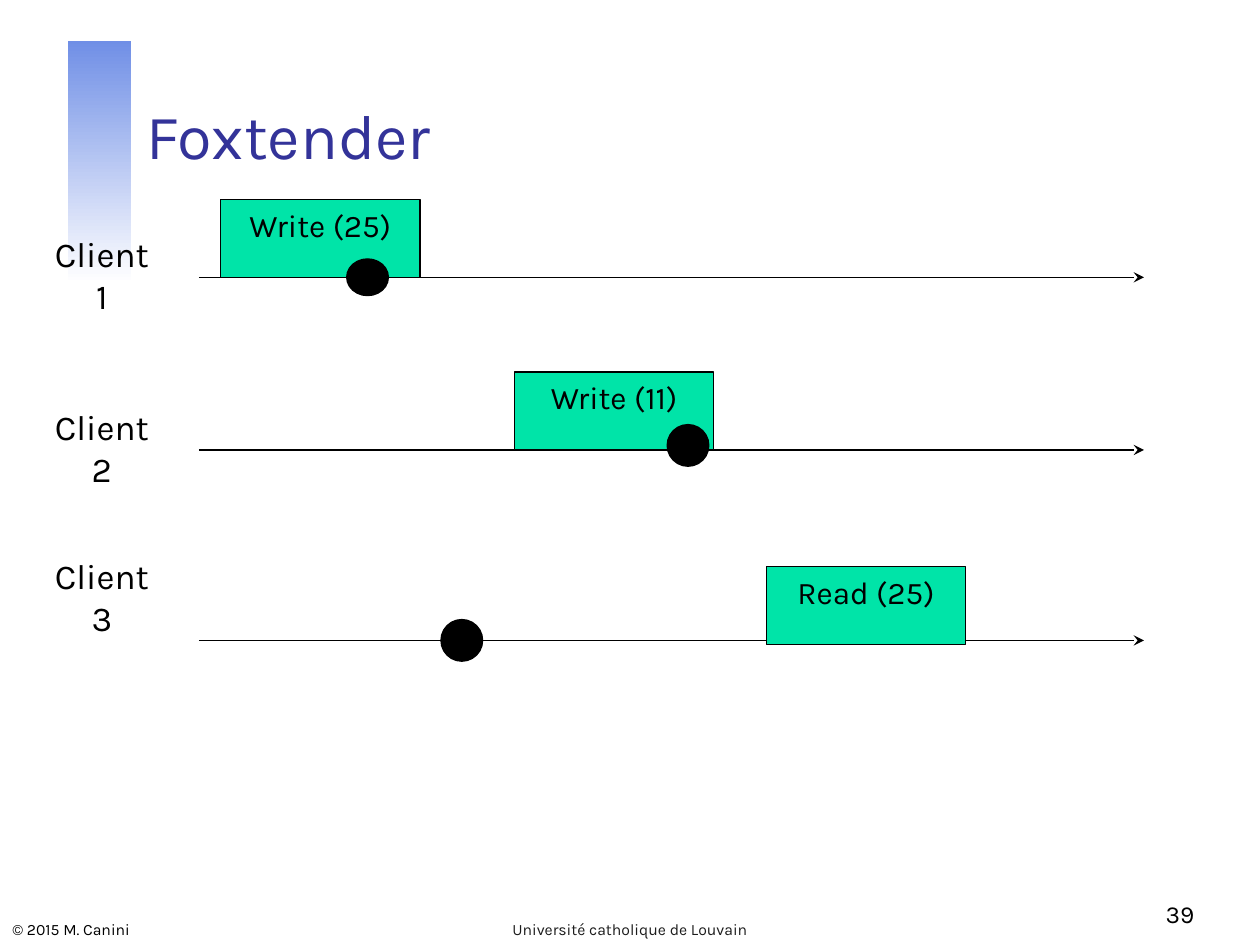
from collections import namedtuple
from dataclasses import dataclass

from lxml import etree
from pptx import Presentation
from pptx.dml.color import RGBColor
from pptx.enum.shapes import MSO_CONNECTOR, MSO_SHAPE
from pptx.enum.text import MSO_ANCHOR, PP_ALIGN
from pptx.oxml.ns import qn
from pptx.util import Cm, Pt

RECTANGLE, OVAL = MSO_SHAPE.RECTANGLE, MSO_SHAPE.OVAL
STRAIGHT = MSO_CONNECTOR.STRAIGHT
TOP, BOTTOM = MSO_ANCHOR.TOP, MSO_ANCHOR.BOTTOM
LEFT, CENTER, RIGHT = PP_ALIGN.LEFT, PP_ALIGN.CENTER, PP_ALIGN.RIGHT

Box = namedtuple("Box", "left top width height")
# Positions in a lane are in cm from the left end of its time axis.
Lane = namedtuple("Lane", "client axis_y label_top operation start rise dot_x dot_y dot_height")


@dataclass(frozen=True)
class Theme:
    font: str = "Karla"
    ink: RGBColor = RGBColor(0x00, 0x00, 0x00)
    title: RGBColor = RGBColor(0x33, 0x33, 0x99)
    footer: RGBColor = RGBColor(0x1C, 0x1C, 0x1C)
    operation: RGBColor = RGBColor(0x00, 0xE4, 0xA8)
    bar_top: RGBColor = RGBColor(0x70, 0x8F, 0xE6)
    bar_bottom: RGBColor = RGBColor(0xFF, 0xFF, 0xFF)
    title_size: int = 36
    client_size: int = 20
    operation_size: int = 18
    number_size: int = 14
    footer_size: int = 9
    line_width: float = 0.75


THEME = Theme()

OPERATION_WIDTH, OPERATION_HEIGHT = 4.02, 1.57
DOT_WIDTH = 0.84
AXIS_LEFT, AXIS_WIDTH = 4.01, 19.05
LABEL_OFFSET, LABEL_WIDTH, LABEL_HEIGHT = -3.3, 2.69, 1.02

LANES = [
    Lane("Client 1", 5.59, -1.02, "Write (25)", 0.44, 0, 3.4, 0, 0.74),
    Lane("Client 2", 9.07, -1.02, "Write (11)", 6.36, 0, 9.86, -0.09, 0.84),
    Lane("Client 3", 12.91, -1.86, "Read (25)", 11.44, 0.08, 5.3, 0, 0.84),
]


def lengths(box):
    return [Cm(value) for value in box]


def write(shape, text, size, color, align, anchor):
    frame = shape.text_frame
    frame.word_wrap = True
    frame.vertical_anchor = anchor
    para = frame.paragraphs[0]
    para.text = text
    para.alignment = align
    para.font.name = THEME.font
    para.font.size = Pt(size)
    para.font.color.rgb = color


def add_text(page, box, text, size, color, align=LEFT, anchor=BOTTOM):
    write(page.shapes.add_textbox(*lengths(box)), text, size, color, align, anchor)


def add_filled(page, kind, box, color):
    shape = page.shapes.add_shape(kind, *lengths(box))
    shape.shadow.inherit = False
    shape.fill.solid()
    shape.fill.fore_color.rgb = color
    shape.line.color.rgb = THEME.ink
    shape.line.width = Pt(THEME.line_width)
    return shape


def add_gradient_bar(page, box):
    bar = page.shapes.add_shape(RECTANGLE, *lengths(box))
    bar.shadow.inherit = False
    bar.line.fill.background()
    bar.fill.gradient()
    bar.fill.gradient_angle = 270
    for stop, color in zip(bar.fill.gradient_stops, (THEME.bar_top, THEME.bar_bottom)):
        stop.color.rgb = color


def add_time_axis(page, left, y, width):
    axis = page.shapes.add_connector(STRAIGHT, Cm(left), Cm(y), Cm(left + width), Cm(y))
    axis.line.color.rgb = THEME.ink
    axis.line.width = Pt(THEME.line_width)
    etree.SubElement(axis.line._get_or_add_ln(), qn("a:tailEnd"), type="stealth")
    etree.SubElement(axis._element.spPr, qn("a:effectLst"))


def add_lane(page, box, lane):
    """Place one client's lane; the top of the box is the time axis."""
    label = Box(box.left + LABEL_OFFSET, box.top + lane.label_top, LABEL_WIDTH, LABEL_HEIGHT)
    add_text(page, label, lane.client, THEME.client_size, THEME.ink, CENTER, TOP)
    add_time_axis(page, box.left, box.top, box.width)
    operation = add_filled(
        page, RECTANGLE,
        Box(box.left + lane.start, box.top - OPERATION_HEIGHT + lane.rise,
            OPERATION_WIDTH, OPERATION_HEIGHT),
        THEME.operation)
    write(operation, lane.operation, THEME.operation_size, THEME.ink, CENTER, TOP)
    add_filled(
        page, OVAL,
        Box(box.left + lane.dot_x - DOT_WIDTH / 2,
            box.top + lane.dot_y - lane.dot_height / 2, DOT_WIDTH, lane.dot_height),
        THEME.ink)


def add_header(page, box):
    add_gradient_bar(page, Box(box.left, box.top, 1.27, 4.9))
    title = Box(box.left + 1.33, box.top + 0.04, box.width - 1.33, box.height)
    add_text(page, title, "Foxtender", THEME.title_size, THEME.title)


def add_footer(page, box):
    size = THEME.footer_size
    add_text(page, Box(box.left, box.top, 7.67, box.height), "© 2015 M. Canini",
             size, THEME.ink)
    add_text(page, Box(box.left + 8.68, box.top, 8.03, box.height),
             "Université catholique de Louvain", size, THEME.footer, CENTER)
    add_text(page, Box(box.left + 19.05, box.top - 0.76, 5.28, 1.27), "39",
             THEME.number_size, THEME.ink, RIGHT)


def main():
    deck = Presentation()
    deck.slide_width, deck.slide_height = Cm(25.4), Cm(19.05)
    page = deck.slides.add_slide(deck.slide_layouts[6])
    add_header(page, Box(1.37, 0.82, 22.96, 2.74))
    for lane in LANES:
        add_lane(page, Box(AXIS_LEFT, lane.axis_y, AXIS_WIDTH, 0), lane)
    add_footer(page, Box(0, 18.34, 25.4, 0.71))
    deck.save("out.pptx")


if __name__ == "__main__":
    main()
